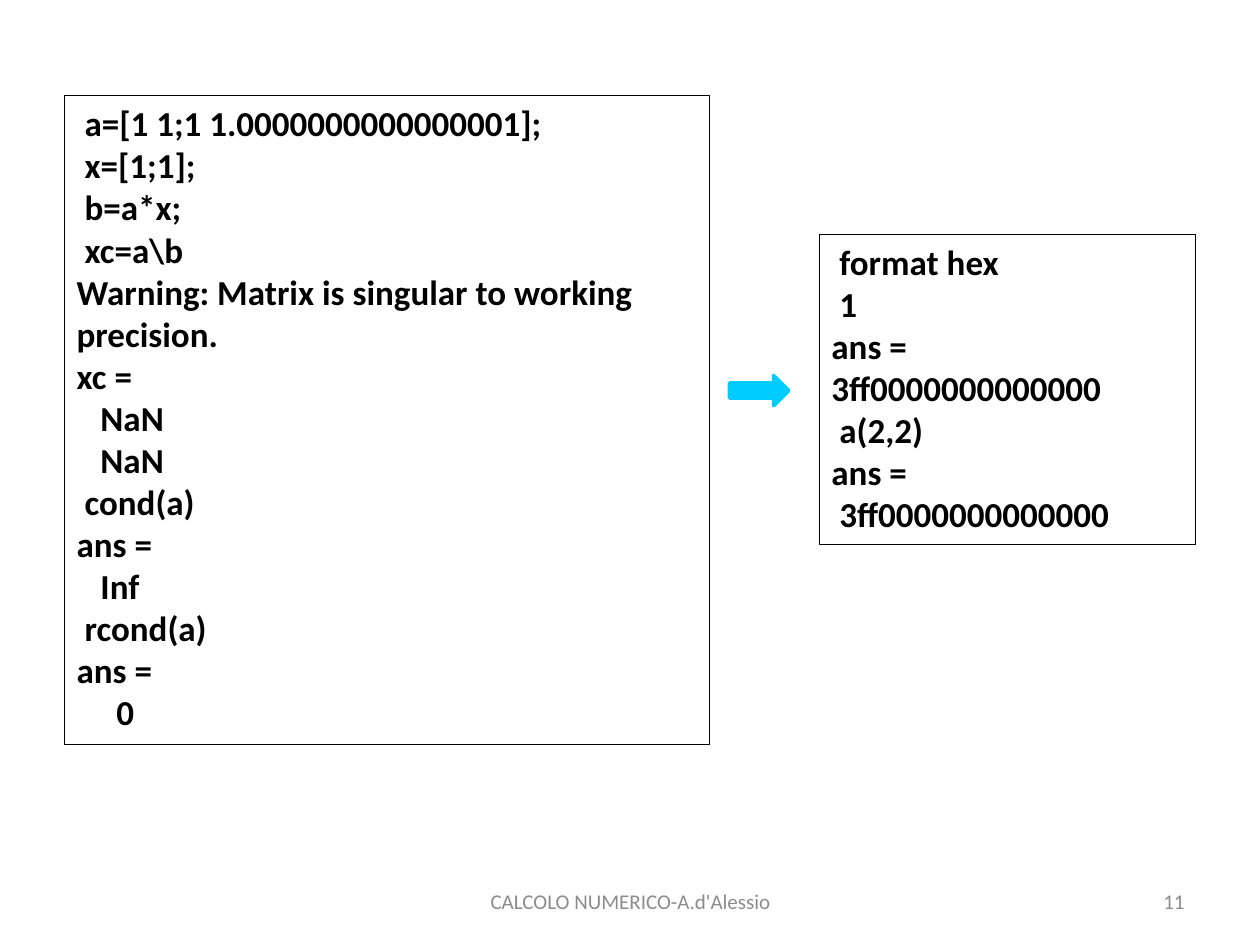
from dataclasses import dataclass

from pptx import Presentation
from pptx.dml.color import RGBColor
from pptx.enum import shapes, text
from pptx.util import Inches, Pt


@dataclass(frozen=True)
class Theme:
    font: str = "Calibri"
    ink: str = "000000"
    muted: str = "8C8C8C"
    accent: str = "00CCFF"
    code_size: int = 20
    footer_size: int = 12
    indent_step: float = 0.063


THEME = Theme()

# Each line of a listing: (indent steps, text); "\n" is a line break
SESSION = [
    (1, "a=[1 1;1 1.0000000000000001];"),
    (1, "x=[1;1];"),
    (1, "b=a*x;"),
    (1, "xc=a\\b"),
    (0, "Warning: Matrix is singular to working precision."),
    (0, "xc ="),
    (3, "NaN"),
    (3, "NaN"),
    (1, "cond(a)"),
    (0, "ans ="),
    (3, "Inf"),
    (1, "rcond(a)"),
    (0, "ans ="),
    (5, "0"),
]
HEX_FORMAT = [
    (1, "format hex"),
    (1, "1"),
    (0, "ans =\n3ff0000000000000"),
    (1, "a(2,2)"),
    (0, "ans ="),
    (1, "3ff0000000000000"),
]


def add_run(paragraph, content, size, color, bold=False):
    run = paragraph.add_run()
    run.text = content
    run.font.name = THEME.font
    run.font.size = Pt(size)
    run.font.bold = bold
    run.font.color.rgb = RGBColor.from_string(color)


def add_listing(slide, box, lines):
    """Outlined box with one paragraph per line of code."""
    shape = slide.shapes.add_shape(
        shapes.MSO_SHAPE.RECTANGLE, *map(Inches, box))
    shape.shadow.inherit = False
    shape.fill.background()
    shape.line.color.rgb = RGBColor.from_string(THEME.ink)
    shape.line.width = Pt(0.5)
    frame = shape.text_frame
    frame.word_wrap = True
    frame.auto_size = text.MSO_AUTO_SIZE.SHAPE_TO_FIT_TEXT
    frame.vertical_anchor = text.MSO_ANCHOR.TOP
    for index, (steps, content) in enumerate(lines):
        paragraph = frame.add_paragraph() if index else frame.paragraphs[0]
        paragraph.alignment = text.PP_ALIGN.LEFT
        margin = Inches(steps * THEME.indent_step)
        paragraph._p.get_or_add_pPr().set("marL", str(margin))
        for part_index, part in enumerate(content.split("\n")):
            if part_index:
                paragraph.add_line_break()
            add_run(paragraph, part, THEME.code_size, THEME.ink, bold=True)


def add_arrow(slide, box):
    arrow = slide.shapes.add_shape(
        shapes.MSO_SHAPE.RIGHT_ARROW, *map(Inches, box))
    arrow.shadow.inherit = False
    color = RGBColor.from_string(THEME.accent)
    arrow.fill.solid()
    arrow.fill.fore_color.rgb = color
    arrow.line.color.rgb = color
    arrow.line.width = Pt(2)


def add_footer(slide, box, content, alignment):
    frame = slide.shapes.add_textbox(*map(Inches, box)).text_frame
    frame.word_wrap = True
    frame.vertical_anchor = text.MSO_ANCHOR.MIDDLE
    paragraph = frame.paragraphs[0]
    paragraph.alignment = alignment
    add_run(paragraph, content, THEME.footer_size, THEME.muted)


def main():
    presentation = Presentation()
    presentation.slide_width = Inches(10)
    presentation.slide_height = Inches(7.5)
    slide = presentation.slides.add_slide(presentation.slide_layouts[6])

    # Footer and page number
    add_footer(slide, (3.42, 6.95, 3.17, 0.4),
               "CALCOLO NUMERICO-A.d'Alessio", text.PP_ALIGN.CENTER)
    add_footer(slide, (7.17, 6.95, 2.33, 0.4), "11", text.PP_ALIGN.RIGHT)

    # Session output leading to its hexadecimal view
    add_listing(slide, (0.51, 0.76, 5.12, 5.15), SESSION)
    add_listing(slide, (6.5, 1.86, 2.99, 2.46), HEX_FORMAT)
    add_arrow(slide, (5.79, 2.98, 0.47, 0.24))

    presentation.save("out.pptx")


main()
